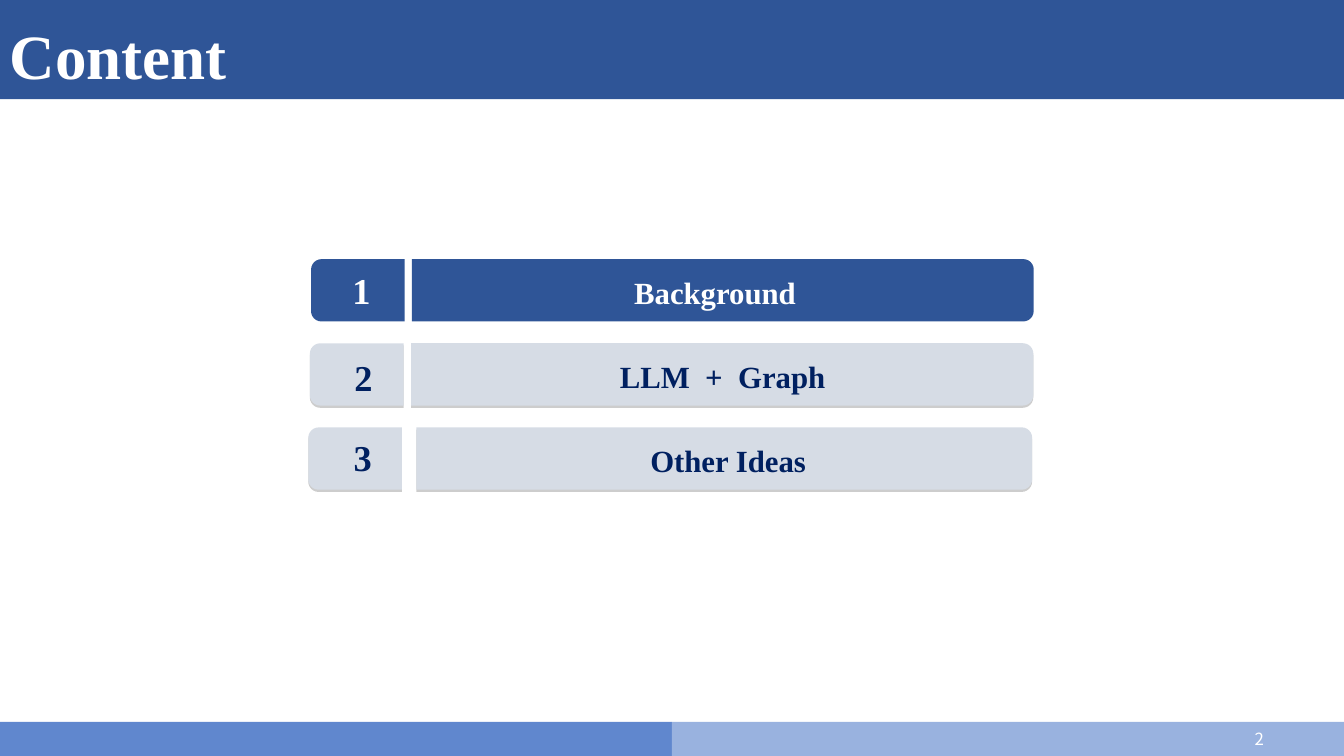
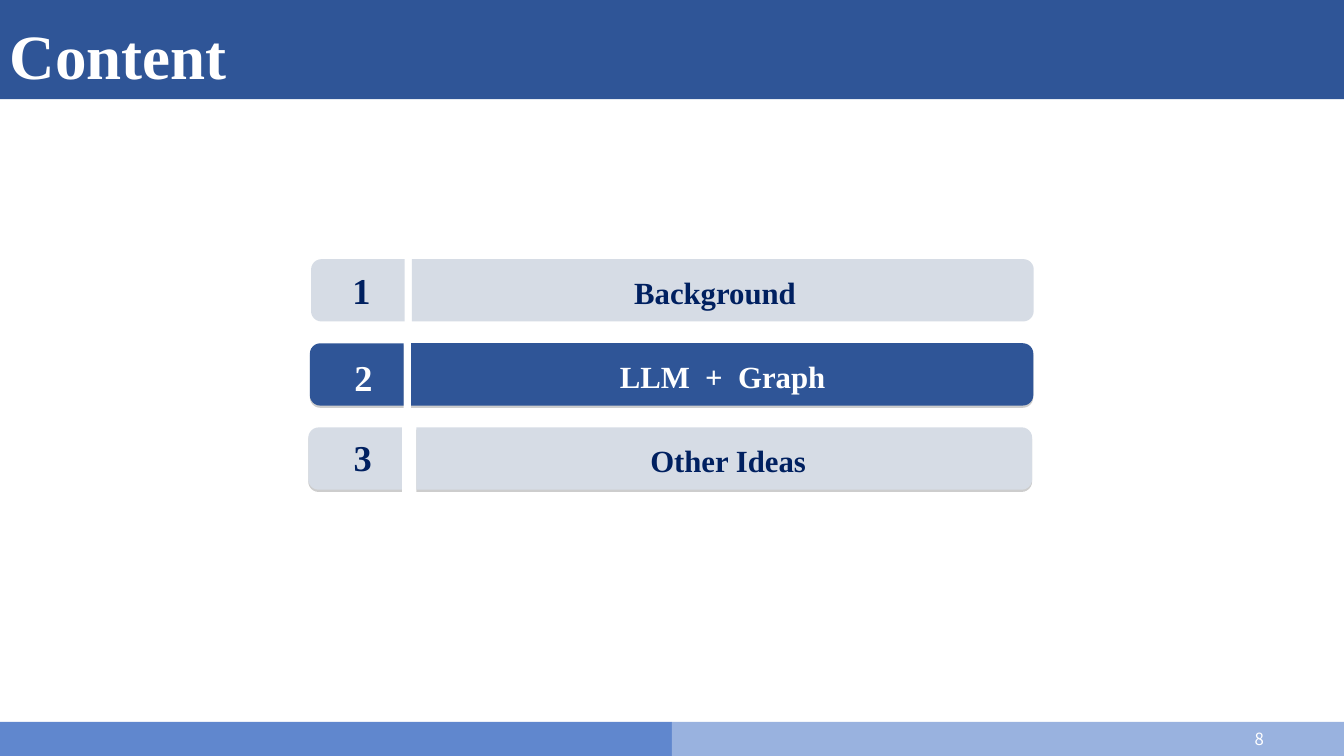
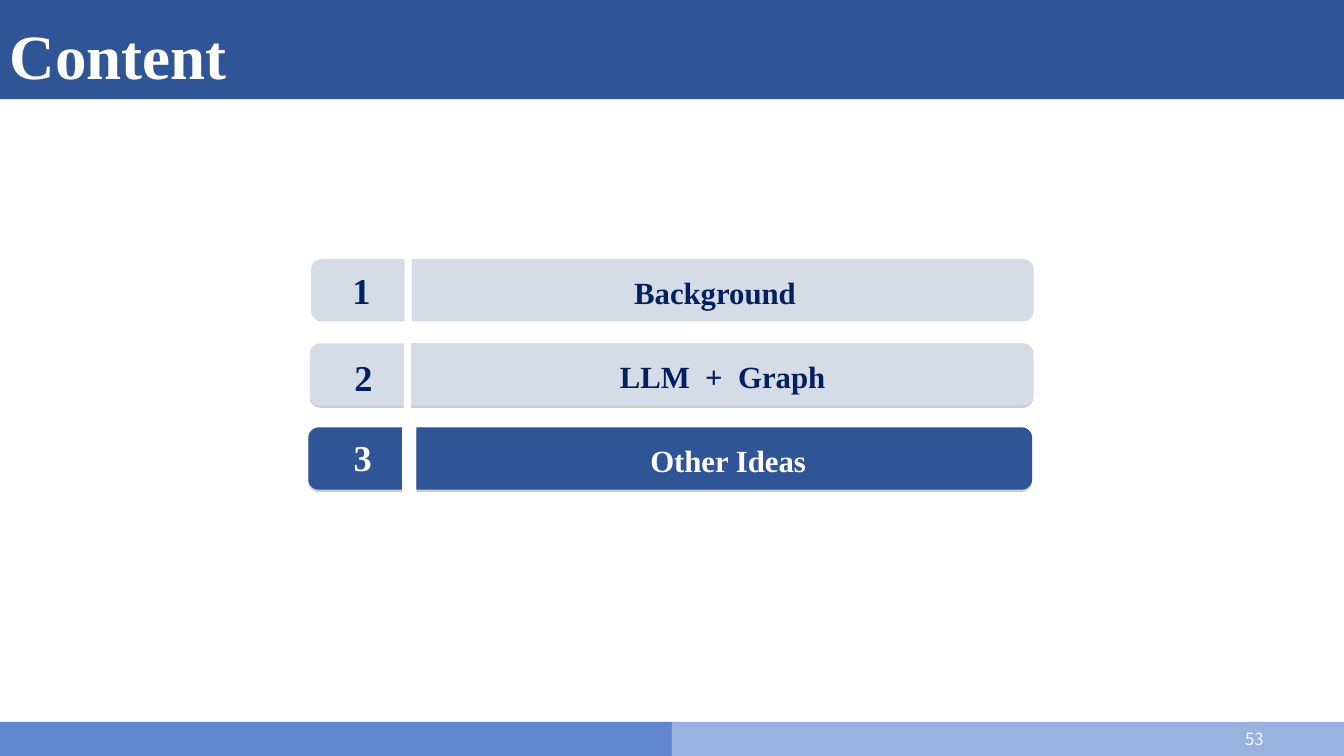
import dataclasses
import pptx
import pptx.dml.color
import pptx.enum.shapes
import pptx.enum.text
import pptx.oxml
import pptx.oxml.ns
import pptx.util

Cm = pptx.util.Cm
SHAPE = pptx.enum.shapes.MSO_SHAPE
ALIGN = pptx.enum.text.PP_ALIGN
ANCHOR = pptx.enum.text.MSO_ANCHOR

TITLE = "Content"
AGENDA = [
    {"label": "Background", "number_left": 7.84, "label_left": 10.38, "label_right": 26.05,
     "number_center": (9.11, 0), "label_center": 18.02, "shadow": False},
    {"label": "LLM  +  Graph", "number_left": 7.81, "label_left": 10.36, "label_right": 26.04,
     "number_center": (9.16, 0.07), "label_center": 18.21, "shadow": True},
    {"label": "Other Ideas", "number_left": 7.77, "label_left": 10.49, "label_right": 26.01,
     "number_center": (9.14, -0.03), "label_center": 18.35, "shadow": True},
]
PAGES = [(0, "2"), (1, "8"), (2, "53")]

SLIDE_WIDTH, SLIDE_HEIGHT = 33.87, 19.05
TITLE_HEIGHT, FOOTER_HEIGHT = 2.5, 0.86
FIRST_ROW_TOP, ROW_PITCH, ROW_HEIGHT = 6.53, 2.12, 1.57
NUMBER_WIDTH, LABEL_DROP = 2.36, 0.04


@dataclasses.dataclass(frozen=True)
class Theme:
    active: str = "2F5597"
    idle: str = "D6DCE5"
    active_text: str = "FFFFFF"
    idle_text: str = "002060"
    footer: tuple = ("6087CE", "99B2DF")
    shadow: str = "808080"
    serif: str = "Times New Roman"
    sans: str = "Noto Sans CJK SC"
    title_size: int = 45
    number_size: int = 26
    label_size: int = 22
    page_size: int = 12


THEME = Theme()


def rgb(value):
    return pptx.dml.color.RGBColor.from_string(value)


def add_block(slide, left, top, width, height, color, kind=SHAPE.RECTANGLE):
    block = slide.shapes.add_shape(kind, Cm(left), Cm(top), Cm(width), Cm(height))
    block.shadow.inherit = False
    block.fill.solid()
    block.fill.fore_color.rgb = rgb(color)
    block.line.fill.background()
    return block


def add_tab(slide, left, top, width, color, rotation, shadow):
    tab = add_block(slide, left + (width - ROW_HEIGHT) / 2, top + (ROW_HEIGHT - width) / 2,
                    ROW_HEIGHT, width, color, SHAPE.ROUND_2_SAME_RECTANGLE)
    tab.rotation = rotation
    if shadow:
        effects = tab._element.spPr.find(pptx.oxml.ns.qn("a:effectLst"))
        effects.append(pptx.oxml.parse_xml(
            f'<a:outerShdw {pptx.oxml.ns.nsdecls("a")} dist="20320" dir="5400000" rotWithShape="0">'
            f'<a:srgbClr val="{THEME.shadow}"><a:alpha val="38000"/></a:srgbClr></a:outerShdw>'))


def add_text(slide, text, left, top, width, height, *, size, color, font=THEME.serif,
             bold=True, align=ALIGN.CENTER, insets=(0, 0, 0, 0)):
    box = slide.shapes.add_textbox(Cm(left), Cm(top), Cm(width), Cm(height))
    frame = box.text_frame
    frame.word_wrap = True
    frame.vertical_anchor = ANCHOR.MIDDLE
    frame.margin_left, frame.margin_top, frame.margin_right, frame.margin_bottom = map(Cm, insets)
    paragraph = frame.paragraphs[0]
    paragraph.text = text
    paragraph.alignment = align
    paragraph.font.name = font
    paragraph.font.size = pptx.util.Pt(size)
    paragraph.font.bold = bold
    paragraph.font.color.rgb = rgb(color)
    return box


def add_frame(slide, page_number):
    footer_top = SLIDE_HEIGHT - FOOTER_HEIGHT
    half = SLIDE_WIDTH / 2
    for index, color in enumerate(THEME.footer):
        add_block(slide, index * half, footer_top, half, FOOTER_HEIGHT, color)
    title = add_text(slide, TITLE, 0, 0, SLIDE_WIDTH, TITLE_HEIGHT, size=THEME.title_size,
                     color=THEME.active_text, align=ALIGN.LEFT, insets=(0.25, 0.36, 0.25, 0.13))
    title.fill.solid()
    title.fill.fore_color.rgb = rgb(THEME.active)
    add_text(slide, page_number, 30.07, 18.24, 1.78, 0.76, size=THEME.page_size,
             color=THEME.active_text, font=THEME.sans, bold=False, align=ALIGN.RIGHT)


def add_agenda_row(slide, index, row, active):
    top = FIRST_ROW_TOP + index * ROW_PITCH
    fill = THEME.active if active else THEME.idle
    ink = THEME.active_text if active else THEME.idle_text
    label_width = row["label_right"] - row["label_left"]
    add_tab(slide, row["number_left"], top, NUMBER_WIDTH, fill, 270, row["shadow"])
    add_tab(slide, row["label_left"], top, label_width, fill, 90, row["shadow"])
    number_center, number_drop = row["number_center"]
    add_text(slide, str(index + 1), number_center - 0.5, top + number_drop, 1, ROW_HEIGHT,
             size=THEME.number_size, color=ink)
    add_text(slide, row["label"], row["label_center"] - 7, top + LABEL_DROP, 14, ROW_HEIGHT,
             size=THEME.label_size, color=ink)


def main():
    deck = pptx.Presentation()
    deck.slide_width, deck.slide_height = Cm(SLIDE_WIDTH), Cm(SLIDE_HEIGHT)
    for current, page_number in PAGES:
        slide = deck.slides.add_slide(deck.slide_layouts[6])
        add_frame(slide, page_number)
        for index, row in enumerate(AGENDA):
            add_agenda_row(slide, index, row, index == current)
    deck.save("out.pptx")


if __name__ == "__main__":
    main()
